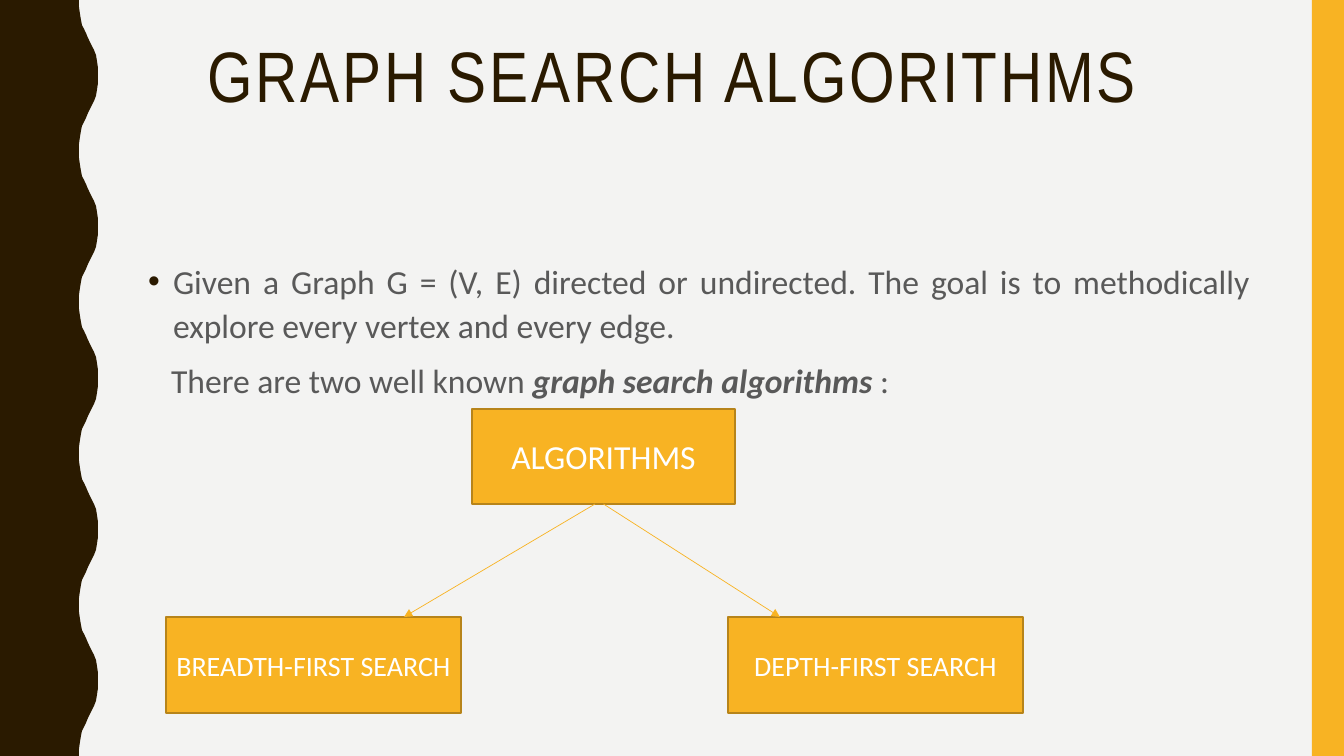
from lxml.etree import SubElement
from pptx import Presentation
from pptx.dml.color import RGBColor
from pptx.enum.shapes import MSO_CONNECTOR, MSO_SHAPE
from pptx.enum.text import MSO_ANCHOR, MSO_AUTO_SIZE, PP_ALIGN
from pptx.oxml.ns import qn
from pptx.util import Emu, Pt

# Content (lengths in px)
WIDTH, HEIGHT = 1344, 756
PX = 914400 / 100.8
BROWN = RGBColor(0x2A, 0x1A, 0x00)
AMBER = RGBColor(0xF8, 0xB3, 0x23)
DARK_AMBER = RGBColor(0xB7, 0x84, 0x1A)
PALE = RGBColor(0xF3, 0xF3, 0xF2)
GREY = RGBColor(0x59, 0x59, 0x59)
WHITE = RGBColor(0xFF, 0xFF, 0xFF)

TITLE = "GRAPH SEARCH ALGORITHMS"
TITLE_BOX = (93, 36, 1159, 146)
BODY_BOX = (138, 252, 1122, 396)
# Each paragraph: bullet, left indent, first-line offset, (text, emphasised) runs
BODY = [
    ("•", 25, -25, [("Given a Graph G = (V, E) directed or undirected. The goal is to "
                     "methodically explore every vertex and every edge.", False)]),
    (None, 23, 0, [("There are two well known ", False),
                   ("graph search algorithms ", True), (":", False)]),
]
# Each node: text, box, font size
NODES = {
    "root": ("ALGORITHMS", (472, 409, 263, 95), 24),
    "breadth": ("BREADTH-FIRST SEARCH", (166, 617, 295, 96), 20),
    "depth": ("DEPTH-FIRST SEARCH", (728, 617, 295, 96), 20),
}
# Each arrow: start, end, whether it starts at the root's bottom centre
ARROWS = [((595, 504), (404, 617), False), ((603, 504), (780, 617), True)]

# One rising flank of the wavy edge, trough to crest
FLANK = [(79, 0), (79, 7), (80, 14), (81, 20), (82, 25), (84, 29), (86, 33), (88, 38),
         (90, 42), (92, 46), (94, 50), (96, 55), (97, 61), (98, 68)]
WAVES = 5


def px(*lengths):
    return [Emu(round(length * PX)) for length in lengths]


def place(shape, box):
    shape.left, shape.top, shape.width, shape.height = px(*box)


def paint(shape, fill, outline=None):
    shape.shadow.inherit = False
    shape.fill.solid()
    shape.fill.fore_color.rgb = fill
    if outline is None:
        shape.line.fill.background()
    else:
        shape.line.color.rgb = outline
        shape.line.width = Pt(1)


def style(run, name, size, color):
    run.font.name = name
    run.font.size = Pt(size)
    run.font.color.rgb = color


def set_bullet(paragraph, bullet, left, first):
    props = paragraph._p.get_or_add_pPr()
    left, first = px(left, first)
    props.set("marL", str(left))
    props.set("indent", str(first))
    if bullet is None:
        SubElement(props, qn("a:buNone"))
        return
    color = SubElement(props, qn("a:buClr"))
    SubElement(color, qn("a:srgbClr"), val=str(BROWN))
    SubElement(props, qn("a:buFont"), typeface="Arial")
    SubElement(props, qn("a:buChar"), char=bullet)


prs = Presentation()
prs.slide_width, prs.slide_height = px(WIDTH, HEIGHT)
slide = prs.slides.add_slide(prs.slide_layouts[1])
shapes = slide.shapes
slide.background.fill.solid()
slide.background.fill.fore_color.rgb = PALE

# Wavy left edge and right bar
half = HEIGHT / WAVES / 2
edge = []
for wave in range(WAVES):
    top = wave * 2 * half
    edge += [(x, top + y) for x, y in FLANK]
    edge.append((98, top + half))
    edge += [(x, top + 2 * half - y) for x, y in reversed(FLANK)]
builder = shapes.build_freeform(0, 0, scale=PX)
builder.add_line_segments(edge + [(0, HEIGHT)], close=True)
paint(builder.convert_to_shape(), BROWN)
paint(shapes.add_shape(MSO_SHAPE.RECTANGLE, *px(1312, 0, 32, HEIGHT)), AMBER)

# Title
title = shapes.title
place(title, TITLE_BOX)
title.text_frame.text = TITLE
title.text_frame.auto_size = MSO_AUTO_SIZE.NONE
title.text_frame.vertical_anchor = MSO_ANCHOR.TOP
heading = title.text_frame.paragraphs[0]
heading.alignment = PP_ALIGN.CENTER
heading.line_spacing = 0.9
style(heading.runs[0], "Arial Narrow", 51, BROWN)
heading.runs[0].font._element.set("spc", "200")

# Body
body = slide.placeholders[1]
place(body, BODY_BOX)
body.text_frame.auto_size = MSO_AUTO_SIZE.NONE
body.text_frame.vertical_anchor = MSO_ANCHOR.TOP
for index, (bullet, left, first, runs) in enumerate(BODY):
    paragraph = body.text_frame.add_paragraph() if index else body.text_frame.paragraphs[0]
    paragraph.alignment = PP_ALIGN.JUSTIFY
    paragraph.line_spacing = 1.1
    paragraph.space_before = Pt(7)
    set_bullet(paragraph, bullet, left, first)
    for text, emphasised in runs:
        run = paragraph.add_run()
        run.text = text
        style(run, "Calibri", 24, GREY)
        run.font.bold = run.font.italic = emphasised

# Tree nodes
boxes = {}
for key, (text, box, size) in NODES.items():
    node = boxes[key] = shapes.add_shape(MSO_SHAPE.RECTANGLE, *px(*box))
    paint(node, AMBER, DARK_AMBER)
    frame = node.text_frame
    frame.margin_left = frame.margin_right = 0
    frame.vertical_anchor = MSO_ANCHOR.MIDDLE
    frame.text = text
    frame.paragraphs[0].alignment = PP_ALIGN.CENTER
    style(frame.paragraphs[0].runs[0], "Calibri", size, WHITE)

# Arrows
for start, end, centred in ARROWS:
    arrow = shapes.add_connector(MSO_CONNECTOR.STRAIGHT, *px(*start, *end))
    if centred:
        arrow.begin_connect(boxes["root"], 2)
    arrow.line.color.rgb = AMBER
    arrow.line.width = Pt(0.5)
    SubElement(arrow.line._get_or_add_ln(), qn("a:tailEnd"), type="triangle")
    SubElement(arrow._element.spPr, qn("a:effectLst"))

prs.save("out.pptx")
